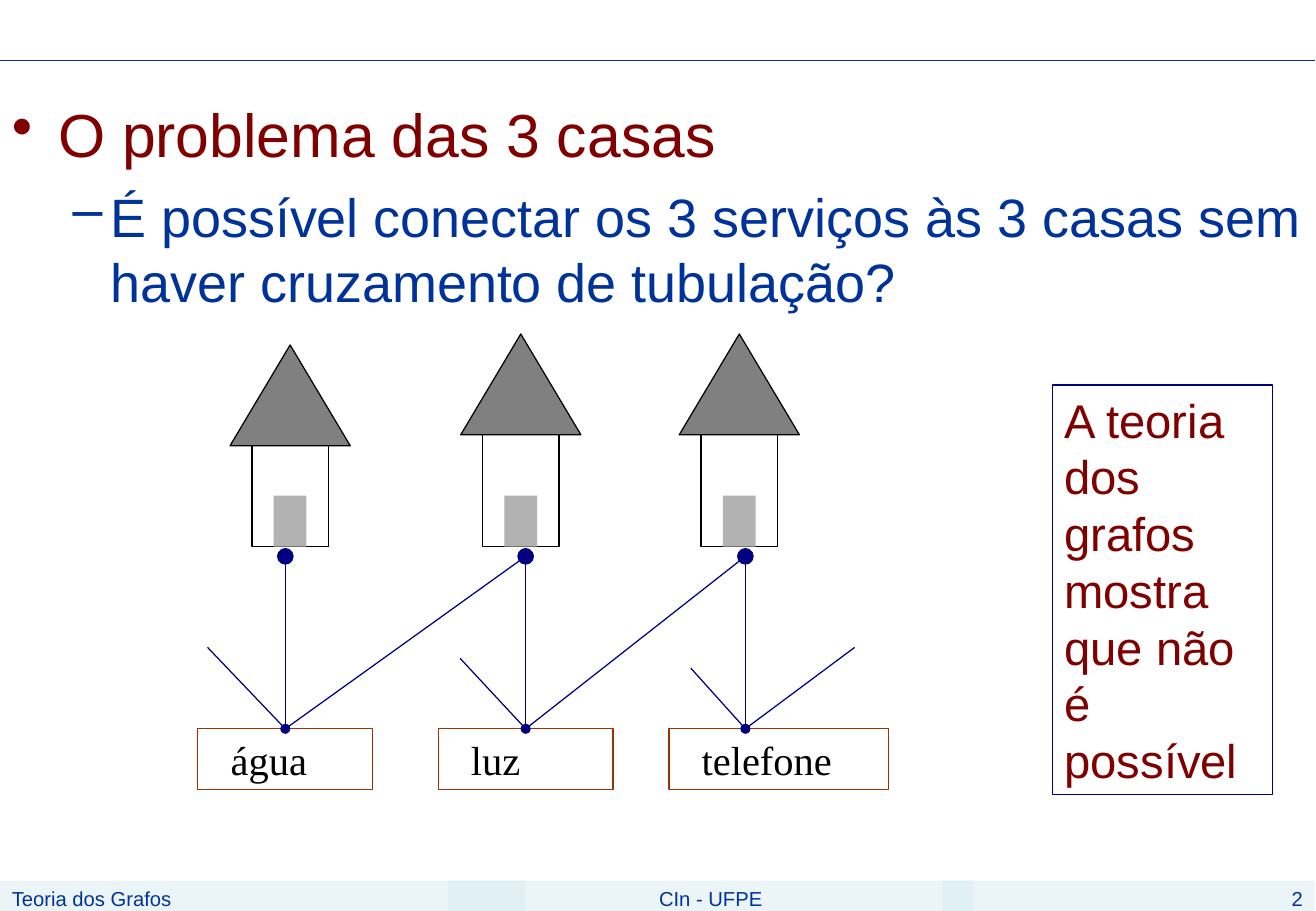
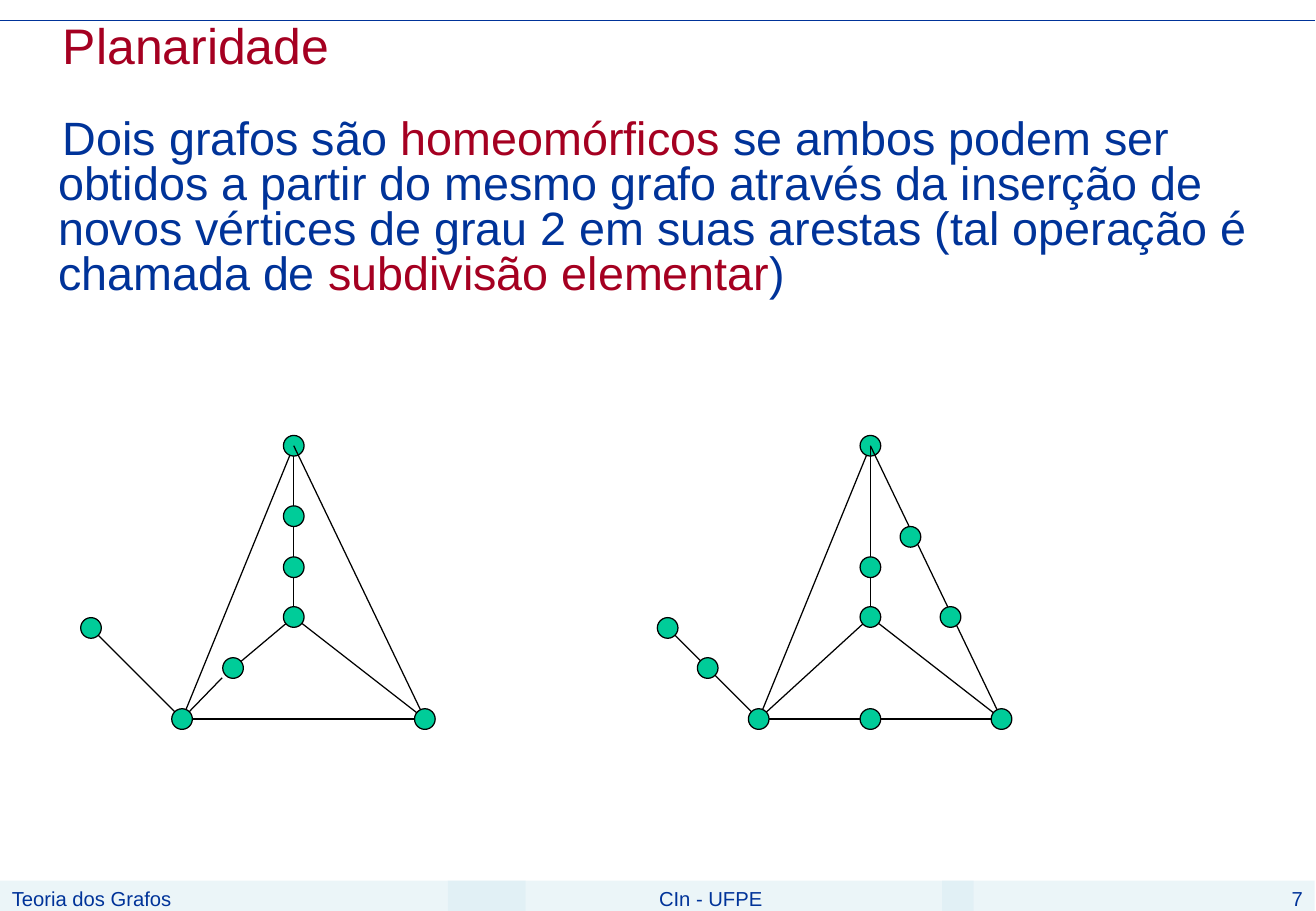
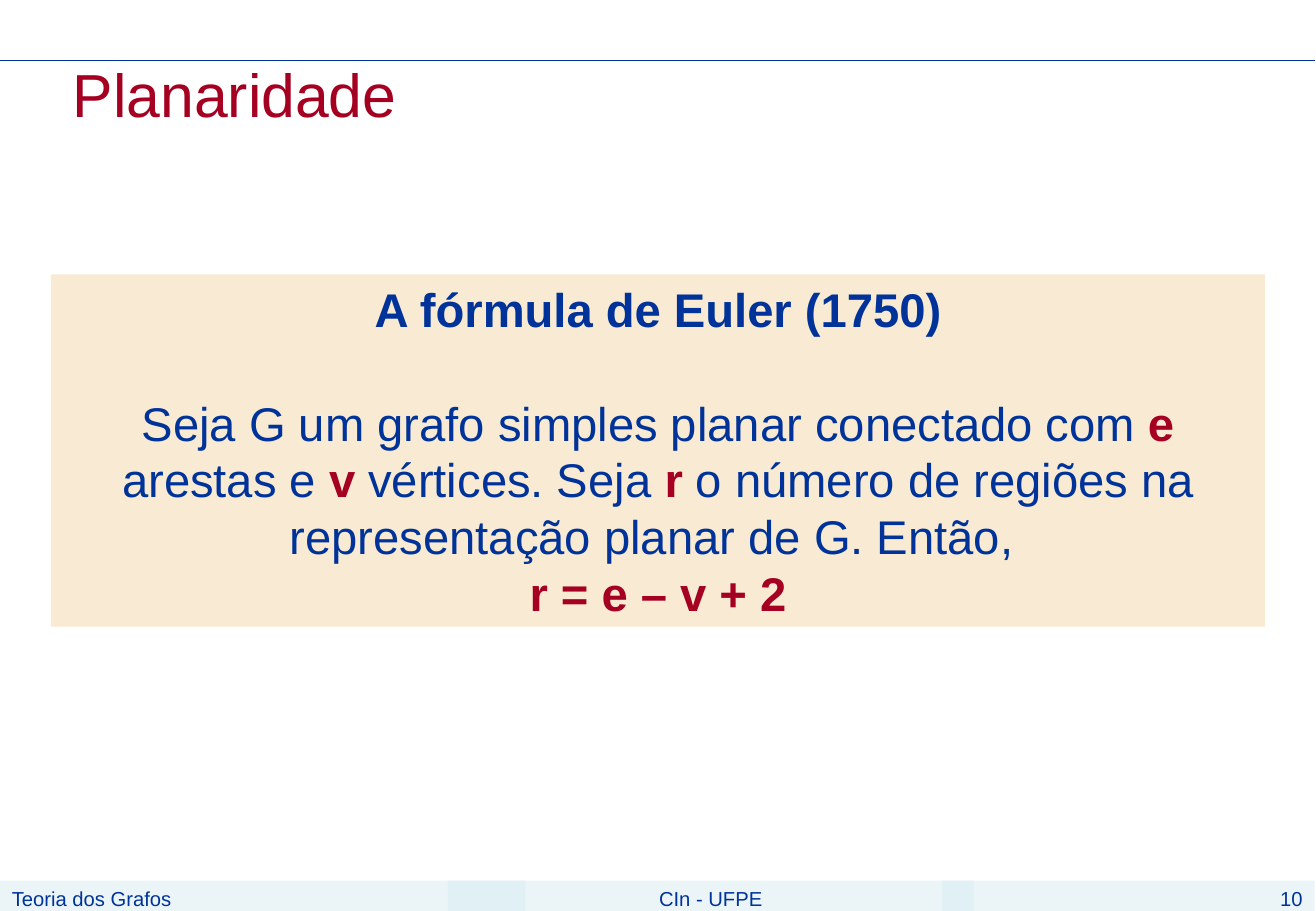
from lxml.etree import SubElement
from pptx import Presentation
from pptx.dml.color import RGBColor
from pptx.enum.shapes import MSO_CONNECTOR, MSO_SHAPE
from pptx.enum.text import MSO_ANCHOR, PP_ALIGN
from pptx.oxml.ns import qn
from pptx.util import Inches, Pt

WIDTH, HEIGHT = 10.84, 7.5
BLUE = RGBColor(0x00, 0x33, 0x99)
NAVY = RGBColor(0x00, 0x00, 0x80)
MAROON = RGBColor(0x80, 0x00, 0x00)
CRIMSON = RGBColor(0xA5, 0x00, 0x21)
BROWN = RGBColor(0x99, 0x33, 0x00)
BLACK = RGBColor(0x00, 0x00, 0x00)
WHITE = RGBColor(0xFF, 0xFF, 0xFF)
ROOF_GRAY = RGBColor(0x80, 0x80, 0x80)
DOOR_GRAY = RGBColor(0xB2, 0xB2, 0xB2)
GREEN = RGBColor(0x00, 0xCC, 0x99)
CREAM = RGBColor(0xF9, 0xEB, 0xD3)
BAND = RGBColor(0xD9, 0xEC, 0xF3)

LINE_WIDTH = Pt(0.75)

# Paragraph formats
PLAIN = {"alignment": PP_ALIGN.LEFT, "line_spacing": 1.0}
CENTERED = {**PLAIN, "alignment": PP_ALIGN.CENTER}
TIGHT = {**PLAIN, "line_spacing": 0.8}


# Text
def set_values(target, values):
    for name, value in values.items():
        setattr(target, name, value)


def add_para(frame, spans, size, form=PLAIN, font="Arial"):
    """Spans are (text, colour) or (text, colour, bold)."""
    para = frame.paragraphs[0]
    if para.runs:
        para = frame.add_paragraph()
    set_values(para, form)
    for text, color, *bold in spans:
        span = para.add_run()
        span.text = text
        set_values(span.font, {"name": font, "size": Pt(size), "bold": bool(bold)})
        span.font.color.rgb = color
    return para


def set_indent(para, left, first, bullet=None, color=None):
    props = para._p.get_or_add_pPr()
    props.set("marL", str(Inches(left)))
    props.set("indent", str(Inches(first)))
    if bullet:
        SubElement(SubElement(props, qn("a:buClr")), qn("a:srgbClr"), val=str(color))
        SubElement(props, qn("a:buChar"), char=bullet)


def prepare_frame(shape, left_margin=0.1):
    frame = shape.text_frame
    set_values(frame, {
        "word_wrap": True,
        "vertical_anchor": MSO_ANCHOR.TOP,
        "margin_left": Inches(left_margin),
        "margin_right": Inches(0.1),
        "margin_top": Inches(0.05),
        "margin_bottom": Inches(0.05),
    })
    return frame


def add_text_frame(page, *place):
    return prepare_frame(page.shapes.add_textbox(*map(Inches, place)))


def add_title(frame, size, form=PLAIN):
    para = add_para(frame, [("Planaridade", CRIMSON)], size, form)
    set_indent(para, 0.38, 0.04)


# Shapes and lines
def add_box(page, place, fill=None, line=None, kind=MSO_SHAPE.RECTANGLE):
    box = page.shapes.add_shape(kind, *map(Inches, place))
    box.shadow.inherit = False
    if fill is None:
        box.fill.background()
    else:
        box.fill.solid()
        box.fill.fore_color.rgb = fill
    if line is None:
        box.line.fill.background()
    else:
        box.line.color.rgb = line
        box.line.width = LINE_WIDTH
    return box


def add_line(page, start, end, color):
    line = page.shapes.add_connector(MSO_CONNECTOR.STRAIGHT, *map(Inches, (*start, *end)))
    line.line.color.rgb = color
    line.line.width = LINE_WIDTH
    SubElement(line._element.spPr, qn("a:effectLst"))
    return line


def add_oval_ends(line):
    outline = line.line._get_or_add_ln()
    for end, size in (("headEnd", "med"), ("tailEnd", "lg")):
        SubElement(outline, qn(f"a:{end}"), type="oval", w=size, len=size)


# Shared parts of every slide
def add_page(deck, number, rule_top):
    page = deck.slides.add_slide(deck.slide_layouts[6])
    footers = [
        ("CIn - UFPE", 3.69, 4.33, PP_ALIGN.CENTER),
        ("Teoria dos Grafos", 0, 4.33, PP_ALIGN.LEFT),
        (str(number), 7.76, 3.07, PP_ALIGN.RIGHT),
    ]
    for text, left, width, alignment in footers:
        band = add_box(page, (left, 7.25, width, 0.25), BAND)
        color = band.fill._xPr.find(qn("a:solidFill"))[0]
        SubElement(color, qn("a:alpha"), val="50000")
        add_para(prepare_frame(band), [(text, BLUE)], 12,
                 {**PLAIN, "alignment": alignment})
    add_line(page, (0, rule_top), (10.83, rule_top), BLUE)
    return page


# Slide with the three houses
def add_house(page, center, wall_top):
    ground, wall, roof, door = 4.5, 0.63, (0.99, 0.83), (0.27, 0.42)
    add_box(page, (center - wall / 2, wall_top, wall, ground - wall_top), WHITE, BLACK)
    add_box(page, (center - roof[0] / 2, wall_top - roof[1], *roof),
            ROOF_GRAY, BLACK, MSO_SHAPE.ISOSCELES_TRIANGLE)
    add_box(page, (center - door[0] / 2, ground - door[1], *door), DOOR_GRAY)


def add_service(page, name, left, width):
    box = add_box(page, (left, 6, width, 0.5), None, BROWN)
    add_para(prepare_frame(box, 0.27), [(name, BLACK)], 24, font="Times New Roman")
    return box


def build_houses(deck):
    page = add_page(deck, 2, 0.5)
    frame = add_text_frame(page, 0, 0.75, 10.83, 2.08)
    para = add_para(frame, [("O problema das 3 casas", MAROON)], 36)
    set_indent(para, 0.38, -0.38, "•", MAROON)
    question = ("É possível conectar os 3 serviços às 3 casas sem "
                "haver cruzamento de tubulação?")
    para = add_para(frame, [(question, BLUE)], 32, {**PLAIN, "space_before": Pt(8)})
    set_indent(para, 0.81, -0.31, "–", BLUE)

    for center, wall_top in ((2.39, 3.67), (4.29, 3.58), (6.09, 3.58)):
        add_house(page, center, wall_top)

    # Services, and pipes from each outlet
    services = [
        ("água", 1.63, 1.44, 2.35, [(4.33, 4.58), (1.71, 5.33)]),
        ("luz", 3.61, 1.44, 4.33, [(6.14, 4.58), (3.79, 5.42)]),
        ("telefone", 5.51, 1.81, 6.14, [(5.69, 5.5), (7.04, 5.33)]),
    ]
    for name, left, width, outlet, ends in services:
        box = add_service(page, name, left, width)
        pipes = [add_line(page, (outlet, 6), end, NAVY)
                 for end in [(outlet, 4.58), *ends]]
        add_oval_ends(pipes[0])
        if abs(left + width / 2 - outlet) < 0.01:
            for pipe in pipes:
                pipe.begin_connect(box, 0)

    answer = add_box(page, (8.67, 3.17, 1.81, 3.37), None, NAVY)
    add_para(prepare_frame(answer),
             [("A teoria dos grafos mostra que não é possível", MAROON)], 28)


# Slide with the homeomorphic graphs
CORE_NODES = {"top": (2.42, 3.67), "low": (2.42, 4.67), "hub": (2.42, 5.08),
              "left": (1.5, 5.92), "right": (3.5, 5.92), "leaf": (0.75, 5.17)}
CORE_EDGES = ["low hub", "hub right", "leaf left", "left right", "top left"]


def add_graph(page, offset, extra_nodes, edges, front_edges, bends):
    """Front edges cross the top node; bends are edge ends without a node."""
    nodes = {**CORE_NODES, **extra_nodes}
    points = {name: (x + offset, y) for name, (x, y) in {**nodes, **bends}.items()}

    def add_edges(pairs):
        for start, end in map(str.split, pairs):
            add_line(page, points[start], points[end], BLACK)

    def add_node(name):
        size = 0.17
        x, y = points[name]
        add_box(page, (x - size / 2, y - size / 2, size, size), GREEN, BLACK,
                MSO_SHAPE.FLOWCHART_CONNECTOR)

    add_edges(CORE_EDGES + edges)
    add_node("top")
    add_edges(front_edges)
    for name in nodes:
        if name != "top":
            add_node(name)


def build_graphs(deck):
    page = add_page(deck, 7, 0.17)
    frame = add_text_frame(page, 0, 0.17, 10.42, 2.5)
    add_title(frame, 29.6, TIGHT)
    para = add_para(frame, [
        ("Dois grafos são ", BLUE),
        ("homeomórficos", CRIMSON),
        (" se ambos podem ser obtidos a partir do mesmo grafo através da inserção "
         "de novos vértices de grau 2 em suas arestas (tal operação é chamada de ", BLUE),
        ("subdivisão elementar", CRIMSON),
        (")", BLUE),
    ], 27.7, {**TIGHT, "space_before": Pt(27)})
    set_indent(para, 0.38, 0.04)

    add_graph(page, 0,
              {"high": (2.42, 4.25), "inner": (1.92, 5.5)},
              ["top high", "high low", "hub inner", "bend left"],
              ["top right"],
              {"bend": (1.83, 5.58)})
    add_graph(page, 4.75,
              {"base": (2.42, 5.92), "stem": (1.08, 5.5),
               "upper": (2.75, 4.42), "lower": (3.08, 5.08)},
              ["hub left"],
              ["top right", "top low"],
              {})


# Slide with Euler's formula
def build_formula(deck):
    page = add_page(deck, 10, 0.5)
    add_title(add_text_frame(page, 0.08, 0.42, 10.42, 2.5), 36)
    frame = prepare_frame(add_box(page, (0.42, 2.26, 10, 2.9), CREAM))
    add_para(frame, [("A fórmula de Euler (1750)", BLUE, True)], 28, CENTERED)
    add_para(frame, [
        ("Seja G um grafo simples planar conectado com ", BLUE),
        ("e", CRIMSON, True),
        (" arestas e ", BLUE),
        ("v", CRIMSON, True),
        (" vértices. Seja ", BLUE),
        ("r", CRIMSON, True),
        (" o número de regiões na representação planar de G. Então, ", BLUE),
    ], 28, {**CENTERED, "space_before": Pt(33.6)})
    add_para(frame, [("r = e – v + 2", CRIMSON, True)], 28, CENTERED)


def main():
    deck = Presentation()
    deck.slide_width, deck.slide_height = Inches(WIDTH), Inches(HEIGHT)
    build_houses(deck)
    build_graphs(deck)
    build_formula(deck)
    deck.save("out.pptx")


if __name__ == "__main__":
    main()
